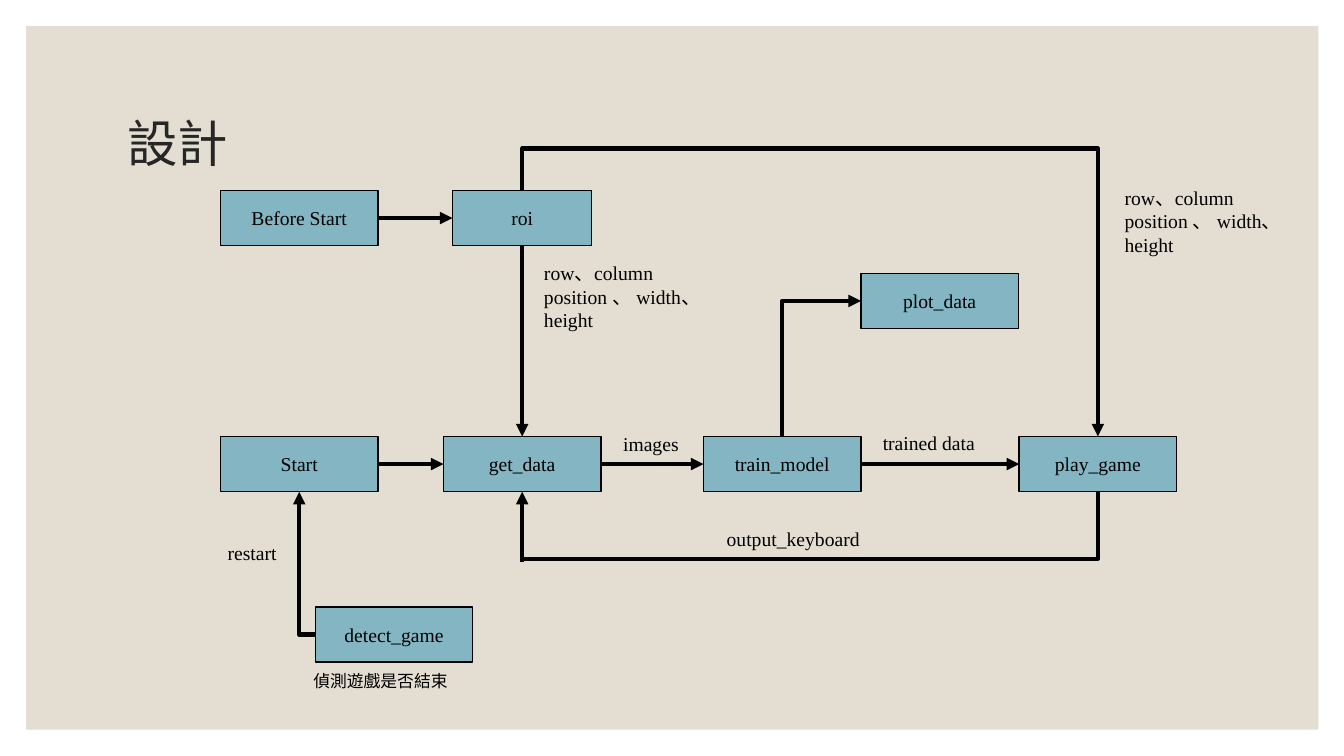
from dataclasses import dataclass

from lxml import etree
from pptx import Presentation
from pptx.dml.color import RGBColor
from pptx.enum.shapes import MSO_CONNECTOR, MSO_SHAPE
from pptx.enum.text import MSO_ANCHOR, PP_ALIGN
from pptx.oxml.ns import qn
from pptx.shapes.autoshape import Shape
from pptx.shapes.connector import Connector
from pptx.slide import Slide
from pptx.text.text import TextFrame
from pptx.util import Pt

RECT = MSO_SHAPE.RECTANGLE
STRAIGHT = MSO_CONNECTOR.STRAIGHT
ELBOW = MSO_CONNECTOR.ELBOW
MIDDLE = MSO_ANCHOR.MIDDLE
LEFT, CENTER = PP_ALIGN.LEFT, PP_ALIGN.CENTER
TOP, WEST, BOTTOM, EAST = range(4)

FONT = "Times New Roman"
SAND, BLUE, BLACK, GREY = "E3DED1", "83B5C2", "000000", "262626"
HIGH = 39.5
ROW1, ROW2 = 136, 311.75
FACTS = "row、column position 、 width、height"


@dataclass
class Node:
    text: str
    left: float
    top: float
    width: float = 112.5


@dataclass
class Label:
    text: str
    left: float
    top: float
    width: float
    level: int = 1
    size: float = 14


@dataclass
class Link:
    start: str
    end: str
    sides: tuple[int, int] = (EAST, WEST)


@dataclass
class Bend:
    start: tuple[str, int]
    end: tuple[str, int] | tuple[float, float]
    kind: str
    turn: int
    flips: str = ""
    adjust: int = 0
    arrow: bool = True


NODES = [
    Node("Before Start", 157.5, ROW1),
    Node("roi", 323.25, ROW1, 99.5),
    Node("Start", 157.5, ROW2),
    Node("get_data", 316.75, ROW2),
    Node("train_model", 502.5, ROW2),
    Node("play_game", 728, ROW2),
    Node("plot_data", 615, 195.25),
    Node("detect_game", 225.25, 433.5),
]
LABELS = [
    Label(FACTS, 381.5, 183, 145.5, 0),
    Label(FACTS, 796.25, 129, 145.5, 0),
    Label("images", 402, 305.25, 102),
    Label("trained data", 587.5, 304.5, 149),
    Label("output_keyboard", 476, 373, 149),
    Label("偵測遊戲是否結束", 180.75, 475.25, 201, size=12),
    Label("restart", 119.5, 383, 102),
]
LINKS = [
    Link("Before Start", "roi"),
    Link("Start", "get_data"),
    Link("get_data", "train_model"),
    Link("train_model", "play_game"),
    Link("roi", "get_data", (BOTTOM, TOP)),
]
BENDS = [
    Bend(("train_model", TOP), ("plot_data", WEST), "bentConnector2", 90, "HV"),
    Bend(("detect_game", WEST), (213.75, 351.25), "bentConnector2", 180),
    Bend(("roi", TOP), ("play_game", TOP), "bentConnector3", 270, "H", -17000),
    Bend(("play_game", BOTTOM), (373, 399), "bentConnector2", 90, arrow=False),
]


def color(code: str) -> RGBColor:
    return RGBColor.from_string(code)


def write(frame: TextFrame, text: str, size: float, code: str = BLACK,
          align: PP_ALIGN = LEFT, level: int = 0) -> None:
    frame.word_wrap = True
    para = frame.paragraphs[0]
    para.alignment = align
    para.level = level
    run = para.add_run()
    run.text = text
    run.font.name = FONT
    run.font.size = Pt(size)
    run.font.color.rgb = color(code)


def add_box(slide: Slide, left: float, top: float, width: float,
            high: float, fill: str) -> Shape:
    box = slide.shapes.add_shape(RECT, Pt(left), Pt(top), Pt(width), Pt(high))
    box.shadow.inherit = False
    box.fill.solid()
    box.fill.fore_color.rgb = color(fill)
    box.line.fill.background()
    return box


def add_node(slide: Slide, node: Node) -> Shape:
    box = add_box(slide, node.left, node.top, node.width, HIGH, BLUE)
    box.line.color.rgb = color(BLACK)
    box.line.width = Pt(1)
    box.text_frame.vertical_anchor = MIDDLE
    write(box.text_frame, node.text, 14, align=CENTER)
    return box


def add_label(slide: Slide, label: Label) -> None:
    box = slide.shapes.add_textbox(
        Pt(label.left), Pt(label.top), Pt(label.width), Pt(24.5))
    write(box.text_frame, label.text, label.size, level=label.level)


def style(wire: Connector, arrow: bool = True) -> None:
    wire.line.color.rgb = color(BLACK)
    wire.line.width = Pt(3)
    props = wire.element.spPr
    if arrow:
        etree.SubElement(props.find(qn("a:ln")), qn("a:tailEnd"), type="triangle")
    etree.SubElement(props, qn("a:effectLst"))


def add_link(slide: Slide, link: Link, boxes: dict[str, Shape]) -> None:
    wire = slide.shapes.add_connector(STRAIGHT, 0, 0, 0, 0)
    wire.begin_connect(boxes[link.start], link.sides[0])
    wire.end_connect(boxes[link.end], link.sides[1])
    style(wire)


def find_spot(end: tuple, nodes: dict[str, Node]) -> tuple[float, float]:
    if end[0] not in nodes:
        return end
    node = nodes[end[0]]
    across = {WEST: 0, EAST: 1}.get(end[1], 0.5)
    down = {TOP: 0, BOTTOM: 1}.get(end[1], 0.5)
    return node.left + across * node.width, node.top + down * HIGH


def add_bend(slide: Slide, bend: Bend, nodes: dict[str, Node]) -> None:
    x1, y1 = find_spot(bend.start, nodes)
    x2, y2 = find_spot(bend.end, nodes)
    width, high = abs(x2 - x1), abs(y2 - y1)
    if bend.turn % 180:
        width, high = high, width
    left, top = (x1 + x2 - width) / 2, (y1 + y2 - high) / 2
    wire = slide.shapes.add_connector(
        ELBOW, Pt(left), Pt(top), Pt(left + width), Pt(top + high))
    frame = wire.element.spPr.find(qn("a:xfrm"))
    frame.set("rot", str(bend.turn * 60000))
    for flip in bend.flips:
        frame.set(f"flip{flip}", "1")
    shape = wire.element.spPr.find(qn("a:prstGeom"))
    shape.set("prst", bend.kind)
    if bend.adjust:
        etree.SubElement(shape.find(qn("a:avLst")), qn("a:gd"),
                         name="adj1", fmla=f"val {bend.adjust}")
    style(wire, bend.arrow)


def add_title(slide: Slide) -> None:
    box = slide.shapes.add_textbox(Pt(84), Pt(50.5), Pt(792), Pt(108))
    box.text_frame.vertical_anchor = MIDDLE
    write(box.text_frame, "設計", 36, GREY)
    box.text_frame.paragraphs[0].line_spacing = 0.9


def main() -> None:
    deck = Presentation()
    deck.slide_width, deck.slide_height = Pt(960), Pt(540)
    slide = deck.slides.add_slide(deck.slide_layouts[6])
    add_box(slide, 18.75, 18.75, 923, 502.5, SAND)
    add_title(slide)
    nodes = {node.text: node for node in NODES}
    boxes = {node.text: add_node(slide, node) for node in NODES}
    for link in LINKS:
        add_link(slide, link, boxes)
    for bend in BENDS:
        add_bend(slide, bend, nodes)
    rise = slide.shapes.add_connector(STRAIGHT, Pt(373), Pt(401.75), Pt(373), Pt(351.25))
    rise.end_connect(boxes["get_data"], BOTTOM)
    style(rise)
    for label in LABELS:
        add_label(slide, label)
    deck.save("out.pptx")


if __name__ == "__main__":
    main()
